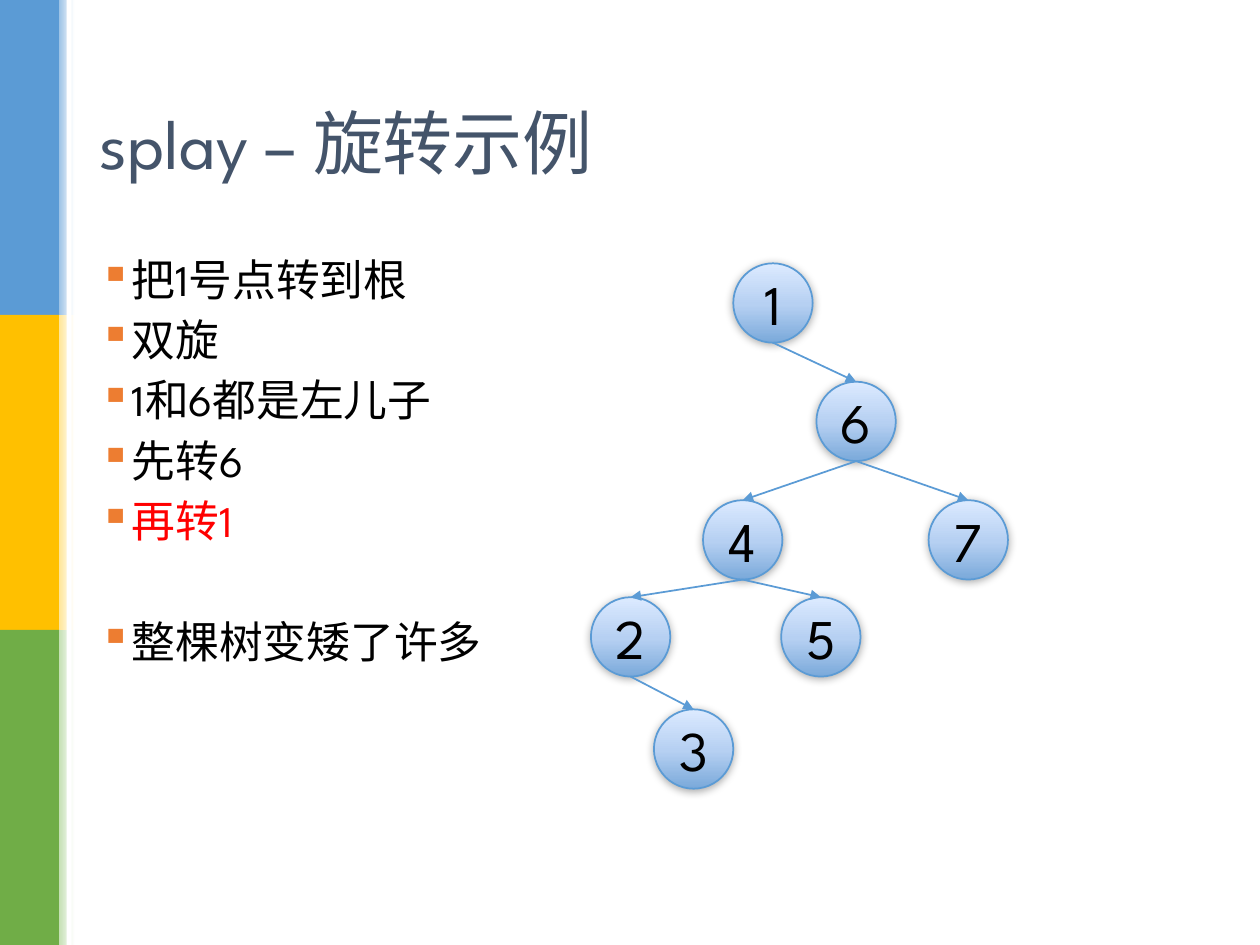
from lxml import etree
from pptx import Presentation
from pptx.dml.color import RGBColor
from pptx.enum.shapes import MSO_CONNECTOR, MSO_SHAPE
from pptx.enum.text import MSO_ANCHOR, PP_ALIGN
from pptx.oxml.ns import qn
from pptx.util import Inches, Pt

RECTANGLE, OVAL = MSO_SHAPE.RECTANGLE, MSO_SHAPE.OVAL
STRAIGHT = MSO_CONNECTOR.STRAIGHT
MIDDLE, TOP = MSO_ANCHOR.MIDDLE, MSO_ANCHOR.TOP
CENTER, LEFT = PP_ALIGN.CENTER, PP_ALIGN.LEFT
FONT = "League Spartan"
BLUE, BLACK = "5B9BD5", "000000"
BANDS = [(BLUE, "9DC3E6"), ("FFC000", "FFE699"), ("70AD47", "C5E0B4")]
NODE_STOPS = [(0, "7AA9DA"), (48, "B6D0F2"), (100, "DCEAFF")]
NODE_SIZE = 0.63
NODES = {
    "1": (1.13, 0), "2": (0, 2.65), "3": (0.5, 3.54), "4": (0.89, 1.88),
    "5": (1.51, 2.65), "6": (1.79, 0.94), "7": (2.68, 1.88),
}
EDGES = ["42", "23", "64", "45", "16", "67"]
BULLETS = [
    ("把1号点转到根", BLACK, 0), ("双旋", BLACK, 7.5),
    ("1和6都是左儿子", BLACK, 7.5), ("先转6", BLACK, 7.5),
    ("再转1", "FF0000", 7.5), ("整棵树变矮了许多", BLACK, 42),
]


def color(value):
    """Return the colour for a hex string."""
    return RGBColor.from_string(value)


def add_child(parent, tag, **attributes):
    """Append a DrawingML element with the given attributes."""
    child = etree.SubElement(parent, qn(tag))
    for name, value in attributes.items():
        child.set(name, str(value))
    return child


def fill_gradient(shape, stops, angle):
    """Fill a shape with a linear gradient of (percent, colour) stops."""
    shape.fill.gradient()
    shape.fill.gradient_angle = angle
    stop_list = shape._element.spPr.find(qn("a:gradFill")).find(qn("a:gsLst"))
    for stop in list(stop_list):
        stop_list.remove(stop)
    for percent, value in stops:
        stop = add_child(stop_list, "a:gs", pos=percent * 1000)
        add_child(stop, "a:srgbClr", val=value)


def add_run(paragraph, text, size, value):
    """Add one styled run to a paragraph."""
    run = paragraph.add_run()
    run.text = text
    run.font.name = FONT
    run.font.size = Pt(size)
    run.font.color.rgb = color(value)


def add_text_box(slide, left, top, width, height, anchor):
    """Add a wrapping text box and return its text frame."""
    box = slide.shapes.add_textbox(Inches(left), Inches(top), Inches(width), Inches(height))
    box.text_frame.word_wrap = True
    box.text_frame.vertical_anchor = anchor
    return box.text_frame


def add_rectangle(slide, left, top, width, height):
    """Add a rectangle without outline or shadow."""
    shape = slide.shapes.add_shape(
        RECTANGLE, Inches(left), Inches(top), Inches(width), Inches(height))
    shape.shadow.inherit = False
    shape.line.fill.background()
    return shape


def add_side_bar(slide, left, top, width, height):
    """Add the stacked colour bands with their fading edges."""
    band_height = height / len(BANDS)
    for index, (strong, pale) in enumerate(BANDS):
        band_top = top + index * band_height
        band = add_rectangle(slide, left, band_top, width, band_height)
        band.fill.solid()
        band.fill.fore_color.rgb = color(strong)
        edge = add_rectangle(slide, left + width, band_top, 0.12, band_height)
        fill_gradient(edge, [(0, pale), (100, "FFFFFF")], 0)
    strip = add_rectangle(slide, left + width + 0.06, top, 0.04, height)
    strip.fill.solid()
    strip.fill.fore_color.rgb = color("FFFFFF")


def add_title(slide, left, top, width, height):
    """Add the slide title."""
    frame = add_text_box(slide, left, top, width, height, MIDDLE)
    add_run(frame.paragraphs[0], "splay – 旋转示例", 40, "44546A")


def add_bullets(slide, left, top, width, height):
    """Add the list of rotation steps."""
    frame = add_text_box(slide, left, top, width, height, TOP)
    for index, (text, value, space) in enumerate(BULLETS):
        paragraph = frame.add_paragraph() if index else frame.paragraphs[0]
        paragraph.alignment = LEFT
        paragraph.line_spacing = 0.9
        paragraph.space_before = Pt(space)
        properties = paragraph._p.get_or_add_pPr()
        properties.set("marL", str(Inches(0.19)))
        properties.set("indent", str(-Inches(0.19)))
        add_child(add_child(properties, "a:buClr"), "a:srgbClr", val="ED7D31")
        add_child(properties, "a:buChar", char="▪")
        add_run(paragraph, text, 25, value)


def add_node(slide, label, left, top):
    """Add one tree node with a soft shadow."""
    node = slide.shapes.add_shape(
        OVAL, Inches(left), Inches(top), Inches(NODE_SIZE), Inches(NODE_SIZE))
    node.shadow.inherit = False
    fill_gradient(node, NODE_STOPS, 90)
    node.line.color.rgb = color(BLUE)
    node.line.width = Pt(1)
    effects = node._element.spPr.find(qn("a:effectLst"))
    shadow = add_child(effects, "a:outerShdw", blurRad=Pt(5), dist=Pt(1),
                       dir=5400000, algn="ctr", rotWithShape=0)
    add_child(add_child(shadow, "a:srgbClr", val=BLACK), "a:alpha", val=32000)
    frame = node.text_frame
    frame.margin_left = frame.margin_right = 0
    frame.word_wrap = False
    frame.vertical_anchor = MIDDLE
    frame.paragraphs[0].alignment = CENTER
    add_run(frame.paragraphs[0], label, 32, BLACK)
    return node


def add_edge(slide, parent, child):
    """Add an arrow from the bottom of a parent to the top of its child."""
    edge = slide.shapes.add_connector(
        STRAIGHT, parent.left + parent.width // 2, parent.top + parent.height,
        child.left + child.width // 2, child.top)
    edge.line.color.rgb = color(BLUE)
    edge.line.width = Pt(1)
    add_child(edge.line._get_or_add_ln(), "a:tailEnd", type="triangle")
    add_child(edge._element.spPr, "a:effectLst")


def add_tree(slide, left, top):
    """Add the binary tree with its nodes and arrows."""
    nodes = {label: add_node(slide, label, left + x, top + y)
             for label, (x, y) in NODES.items()}
    for parent, child in EDGES:
        add_edge(slide, nodes[parent], nodes[child])


def main():
    """Build and save the presentation."""
    presentation = Presentation()
    presentation.slide_width = Inches(10)
    presentation.slide_height = Inches(7.5)
    slide = presentation.slides.add_slide(presentation.slide_layouts[6])
    add_side_bar(slide, 0, 0, 0.47, 7.5)
    add_title(slide, 0.69, 0.4, 8.62, 1.45)
    add_tree(slide, 4.69, 2.09)
    add_bullets(slide, 0.69, 2, 8.62, 5.15)
    presentation.save("out.pptx")


if __name__ == "__main__":
    main()
